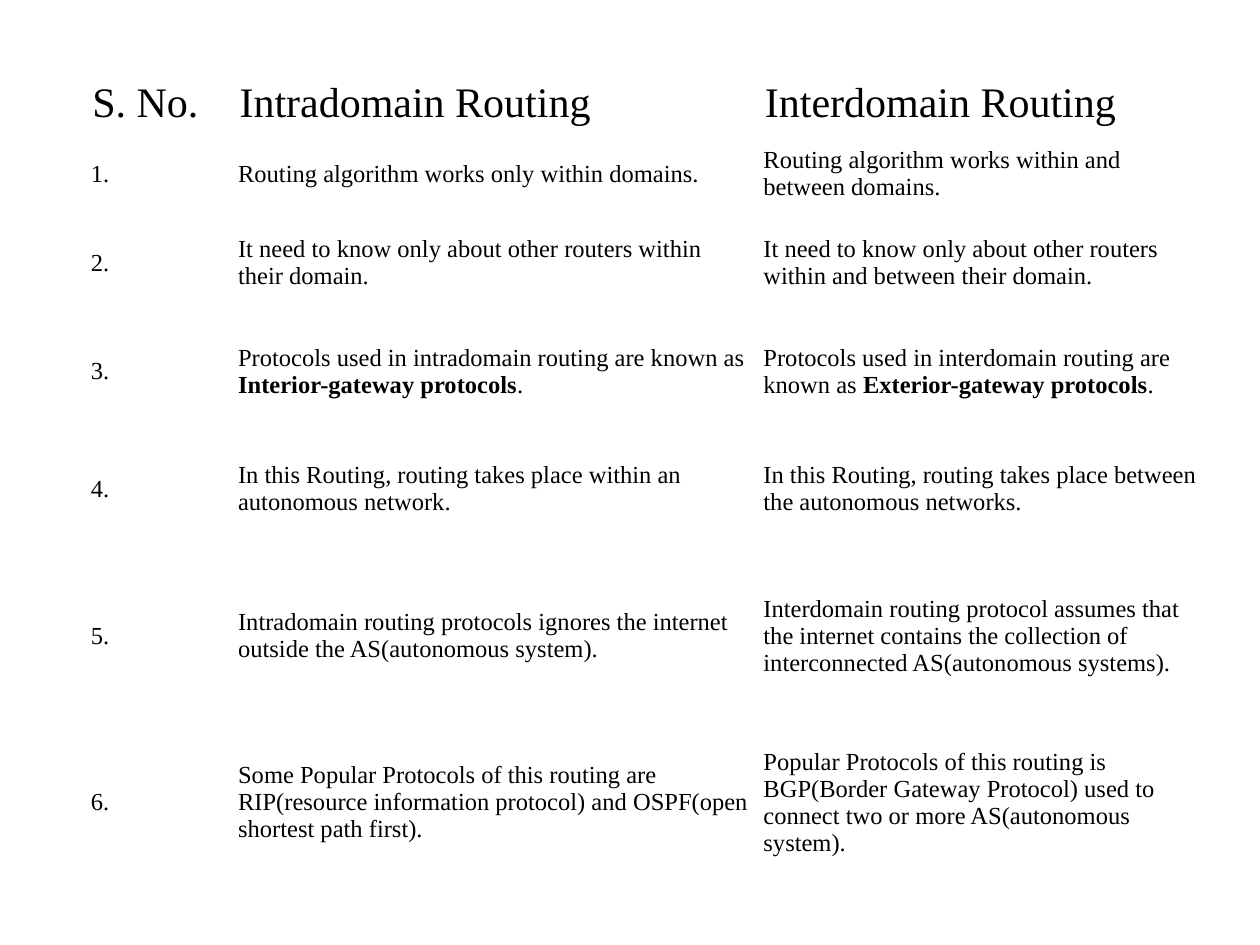
"""Build a slide with a table comparing intradomain and interdomain routing."""
from pptx import Presentation
from pptx.dml.color import RGBColor
from pptx.enum.text import MSO_ANCHOR, PP_ALIGN
from pptx.util import Cm, Pt


def rgb(value):
    return RGBColor.from_string(value)


COLS = [2.97, 10.59, 9.09]
HEIGHTS = [1.24, 1.6, 1.98, 2.39, 2.36, 3.56, 3.15]
ROWS = [
    ("S. No.", "Intradomain Routing", "Interdomain Routing"),
    ("1.", "Routing algorithm works only within domains.",
     "Routing algorithm works within and between domains."),
    ("2.", "It need to know only about other routers within their domain.",
     "It need to know only about other routers within and between their domain."),
    ("3.", "Protocols used in intradomain routing are known as **Interior-gateway protocols**.",
     "Protocols used in interdomain routing are known as **Exterior-gateway protocols**."),
    ("4.", "In this Routing, routing takes place within an autonomous network.",
     "In this Routing, routing takes place between the autonomous networks."),
    ("5.", "Intradomain routing protocols ignores the internet outside the AS(autonomous system).",
     "Interdomain routing protocol assumes that the internet contains the collection of "
     "interconnected AS(autonomous systems)."),
    ("6.", "Some Popular Protocols of this routing are RIP(resource information protocol) "
     "and OSPF(open shortest path first).",
     "Popular Protocols of this routing is BGP(Border Gateway Protocol) used to connect "
     "two or more AS(autonomous system)."),
]

prs = Presentation()
prs.slide_width, prs.slide_height = Cm(25.4), Cm(19.05)
s = prs.slides.add_slide(prs.slide_layouts[6])

table = s.shapes.add_table(len(ROWS), len(COLS), Cm(1.7), Cm(1.47),
                           Cm(sum(COLS)), Cm(sum(HEIGHTS))).table
table.horz_banding = False
for col, width in zip(table.columns, COLS):
    col.width = Cm(width)
for row, height in zip(table.rows, HEIGHTS):
    row.height = Cm(height)

for i, texts in enumerate(ROWS):
    for cell, text in zip(table.rows[i].cells, texts):
        cell.fill.solid()
        cell.fill.fore_color.rgb = rgb("FFFFFF")
        cell.vertical_anchor = MSO_ANCHOR.MIDDLE
        cell.margin_left = cell.margin_right = Cm(0.13 if i else 0.16)
        cell.margin_top = cell.margin_bottom = Cm(0.13)
        p = cell.text_frame.paragraphs[0]
        p.alignment = PP_ALIGN.LEFT
        for j, part in enumerate(text.split("**")):
            r = p.add_run()
            r.text = part
            r.font.name = "Times New Roman"
            r.font.size = Pt(14 if i else 24)
            r.font.bold = j % 2 == 1
            r.font.color.rgb = rgb("000000")

prs.save("out.pptx")
